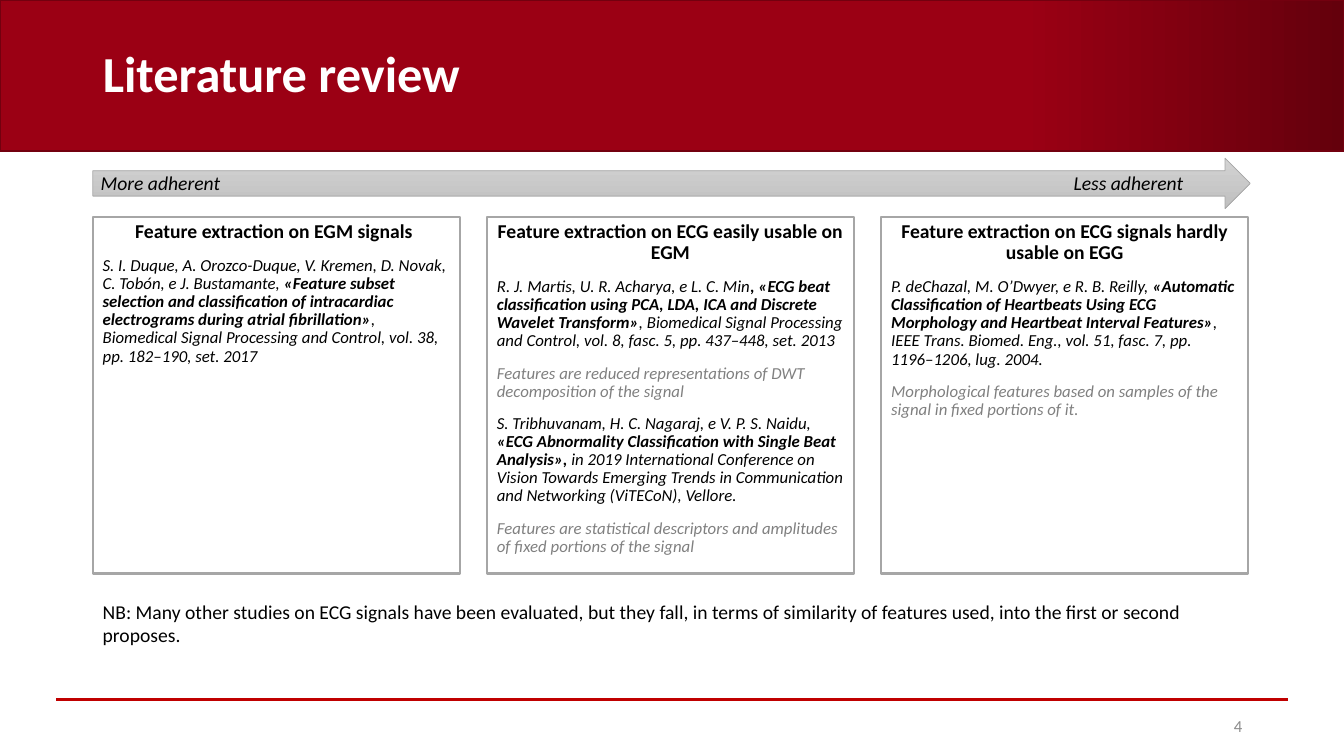
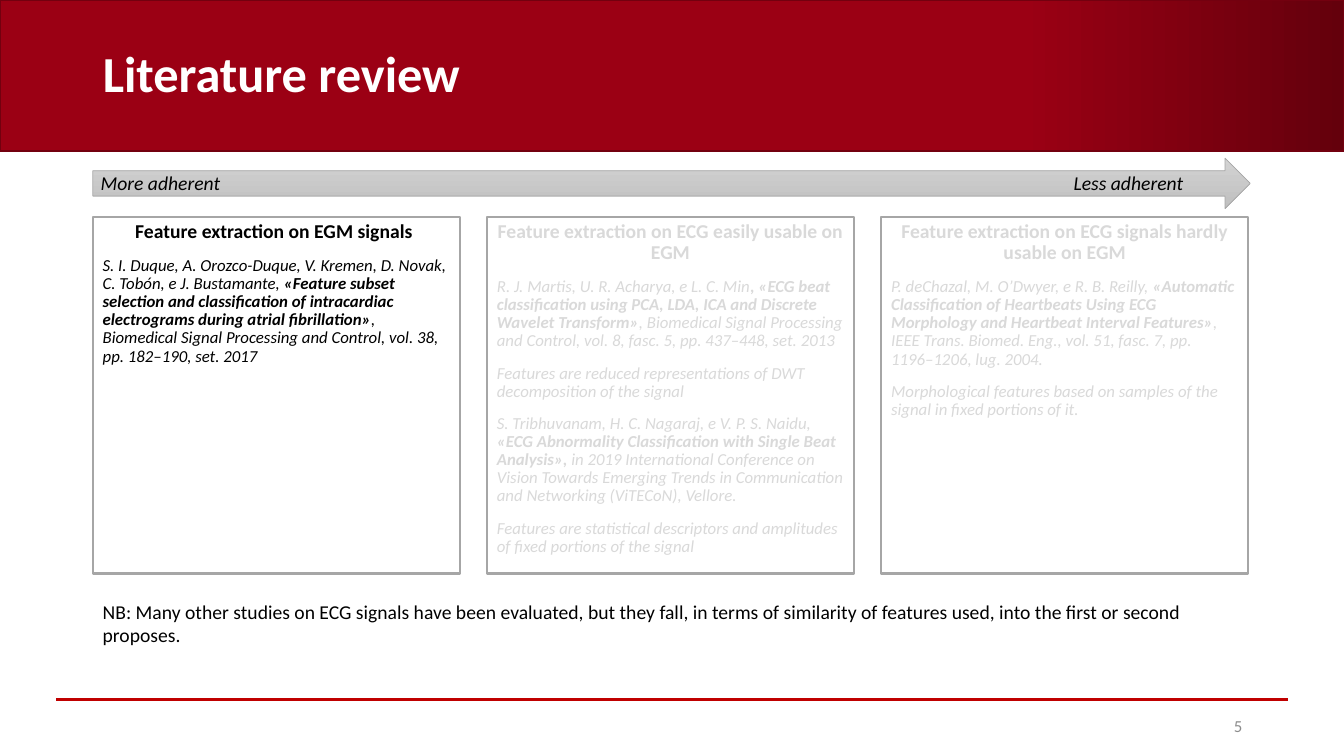
import pptx
import pptx.util
import pptx.dml.color
import pptx.enum.shapes
import pptx.enum.text
import pptx.oxml.ns
import lxml.etree

Inches, Pt = pptx.util.Inches, pptx.util.Pt
Shape = pptx.enum.shapes.MSO_SHAPE
Align = pptx.enum.text.PP_ALIGN
Anchor = pptx.enum.text.MSO_ANCHOR

WIDE, HIGH = 13.33, 7.5
LEFT = 0.92
FONT = "Calibri"
BLACK, WHITE, GREY, PALE = "000000", "FFFFFF", "808080", "D9D9D9"
RED, DARK, EDGE, RULE = "9B0014", "64000C", "73000F", "C00000"
FRAME, NUMBER = "A6A6A6", "8C8C8C"

NOTE = ("NB: Many other studies on ECG signals have been evaluated, but they fall, "
        "in terms of similarity of features used, into the first or second proposes.")

# Each card: heading, then paragraphs. A cited work is (authors, title, source);
# a plain string is a remark.
EGM = ("Feature extraction on EGM signals ", [
    ("S. I. Duque, A. Orozco-Duque, V. Kremen, D. Novak, C. Tobón, e J. Bustamante, ",
     "«Feature subset selection and classification of intracardiac electrograms "
     "during atrial fibrillation»",
     ", Biomedical Signal Processing and Control, vol. 38, pp. 182–190, set. 2017")])
EASY = ("Feature extraction on ECG easily usable on EGM", [
    ("R. J. Martis, U. R. Acharya, e L. C. Min",
     ", «ECG beat classification using PCA, LDA, ICA and Discrete Wavelet Transform»",
     ", Biomedical Signal Processing and Control, vol. 8, fasc. 5, pp. 437–448, set. 2013"),
    "Features are reduced representations of DWT decomposition of the signal",
    ("S. Tribhuvanam, H. C. Nagaraj, e V. P. S. Naidu, ",
     "«ECG Abnormality Classification with Single Beat Analysis», ",
     "in 2019 International Conference on Vision Towards Emerging Trends in "
     "Communication and Networking (ViTECoN), Vellore."),
    "Features are statistical descriptors and amplitudes of fixed portions of the signal"])
HARD = [
    ("P. deChazal, M. O’Dwyer, e R. B. Reilly, ",
     "«Automatic Classification of Heartbeats Using ECG Morphology and "
     "Heartbeat Interval Features»",
     ", IEEE Trans. Biomed. Eng., vol. 51, fasc. 7, pp. 1196–1206, lug. 2004."),
    "Morphological features based on samples of the signal in fixed portions of it."]


def color(text):
    return pptx.dml.color.RGBColor.from_string(text)


def area(box):
    return [Inches(v) for v in box]


def blend(fill, stops, angle):
    fill.gradient()
    fill.gradient_angle = angle
    for stop, (place, tint) in zip(fill.gradient_stops, stops):
        stop.position = place
        stop.color.rgb = color(tint)


def shape(parts, kind, box, edge, width):
    item = parts.add_shape(kind, *area(box))
    item.shadow.inherit = False
    item.fill.background()
    item.line.color.rgb = color(edge)
    item.line.width = Pt(width)
    return item


def write(para, text, size, tint, bold=False, italic=False):
    run = para.add_run()
    run.text = text
    font = run.font
    font.name, font.size, font.bold, font.italic = FONT, Pt(size), bold, italic
    font.color.rgb = color(tint)


def label(parts, box, text, size=14, tint=BLACK, italic=False,
          align=Align.LEFT, anchor=Anchor.TOP):
    frame = parts.add_textbox(*area(box)).text_frame
    frame.word_wrap = True
    frame.vertical_anchor = anchor
    para = frame.paragraphs[0]
    para.alignment = align
    write(para, text, size, tint, italic=italic)


def dress(layout, slide):
    """Draw the band and the foot rule, and move them to the layout."""
    band = shape(slide.shapes, Shape.RECTANGLE, (0, 0, WIDE, HIGH / 5), EDGE, 1)
    blend(band.fill, [(0.76, RED), (1, DARK)], 0)
    rule = slide.shapes.add_connector(
        pptx.enum.shapes.MSO_CONNECTOR.STRAIGHT, *area((0.56, 6.94, 12.77, 6.94)))
    rule.line.color.rgb = color(RULE)
    rule.line.width = Pt(1.5)
    lxml.etree.SubElement(rule.element.spPr, pptx.oxml.ns.qn("a:effectLst"))
    for spot, item in enumerate((band, rule), 2):
        layout.shapes.element.insert(spot, item.element)


def head(slide, text, box):
    title = slide.shapes.title
    title.left, title.top, title.width, title.height = area(box)
    frame = title.text_frame
    frame.auto_size = pptx.enum.text.MSO_AUTO_SIZE.NONE
    frame.vertical_anchor = Anchor.MIDDLE
    para = frame.paragraphs[0]
    para.alignment = Align.LEFT
    para.line_spacing = 0.9
    write(para, text, 36, WHITE, bold=True)


def scale(slide, box):
    """Draw the arrow from more to less adherent."""
    left, top, width, height = box
    parts = slide.shapes.add_group_shape().shapes
    arrow = shape(parts, Shape.RIGHT_ARROW, box, "A5A5A5", 0.5)
    blend(arrow.fill, [(0, "D2D2D2"), (1, "C0C0C0")], 270)
    row = top + 0.08
    label(parts, (left - 0.02, row, width / 4, 0.42), "More adherent", italic=True)
    label(parts, (left + width - 1.85, row, 1.8, 0.42), "Less adherent", italic=True)


def card(slide, box, heading, works, faded):
    frame = shape(slide.shapes, Shape.RECTANGLE, box, FRAME, 1.5).text_frame
    frame.word_wrap = True
    frame.vertical_anchor = Anchor.TOP
    main, aside = (PALE, PALE) if faded else (BLACK, GREY)

    def space(para, align):
        para.alignment = align
        para.line_spacing = 0.9
        para.space_before = Pt(10)
        return para

    write(space(frame.paragraphs[0], Align.CENTER), heading, 14, main, bold=True)
    for work in works:
        para = space(frame.add_paragraph(), Align.LEFT)
        if isinstance(work, str):
            write(para, work, 12, aside, italic=True)
            continue
        for spot, text in enumerate(work):
            write(para, text, 12, main, bold=spot == 1, italic=True)


def cards(slide, box, items, focus):
    """Set the cards in equal columns; with a focus, fade all the others."""
    left, top, width, height = box
    gap = 0.27
    wide = (width - gap * (len(items) - 1)) / len(items)
    for col, (heading, works) in enumerate(items):
        place = (left + col * (wide + gap), top, wide, height)
        card(slide, place, heading, works, focus not in (None, col))


def review(slide, number, last, focus=None):
    head(slide, "Literature review", (LEFT, 0.23, 10.83, 1.06))
    label(slide.shapes, (9.42, 7, 3, 0.4), str(number), 12, NUMBER,
          align=Align.RIGHT, anchor=Anchor.MIDDLE)
    scale(slide, (LEFT, 1.57, 11.48, 0.5))
    cards(slide, (LEFT, 2.15, 11.46, 3.54), [EGM, EASY, (last, HARD)], focus)
    label(slide.shapes, (LEFT, 5.9, 11.46, 0.57), NOTE)


def main():
    deck = pptx.Presentation()
    deck.slide_width, deck.slide_height = Inches(WIDE), Inches(HIGH)
    layout = deck.slide_layouts[5]
    first, second = [deck.slides.add_slide(layout) for _ in range(2)]
    dress(layout, first)
    stem = "Feature extraction on ECG signals hardly usable on "
    review(first, 4, stem + "EGG")
    review(second, 5, stem + "EGM", focus=0)
    deck.save("out.pptx")


if __name__ == "__main__":
    main()
